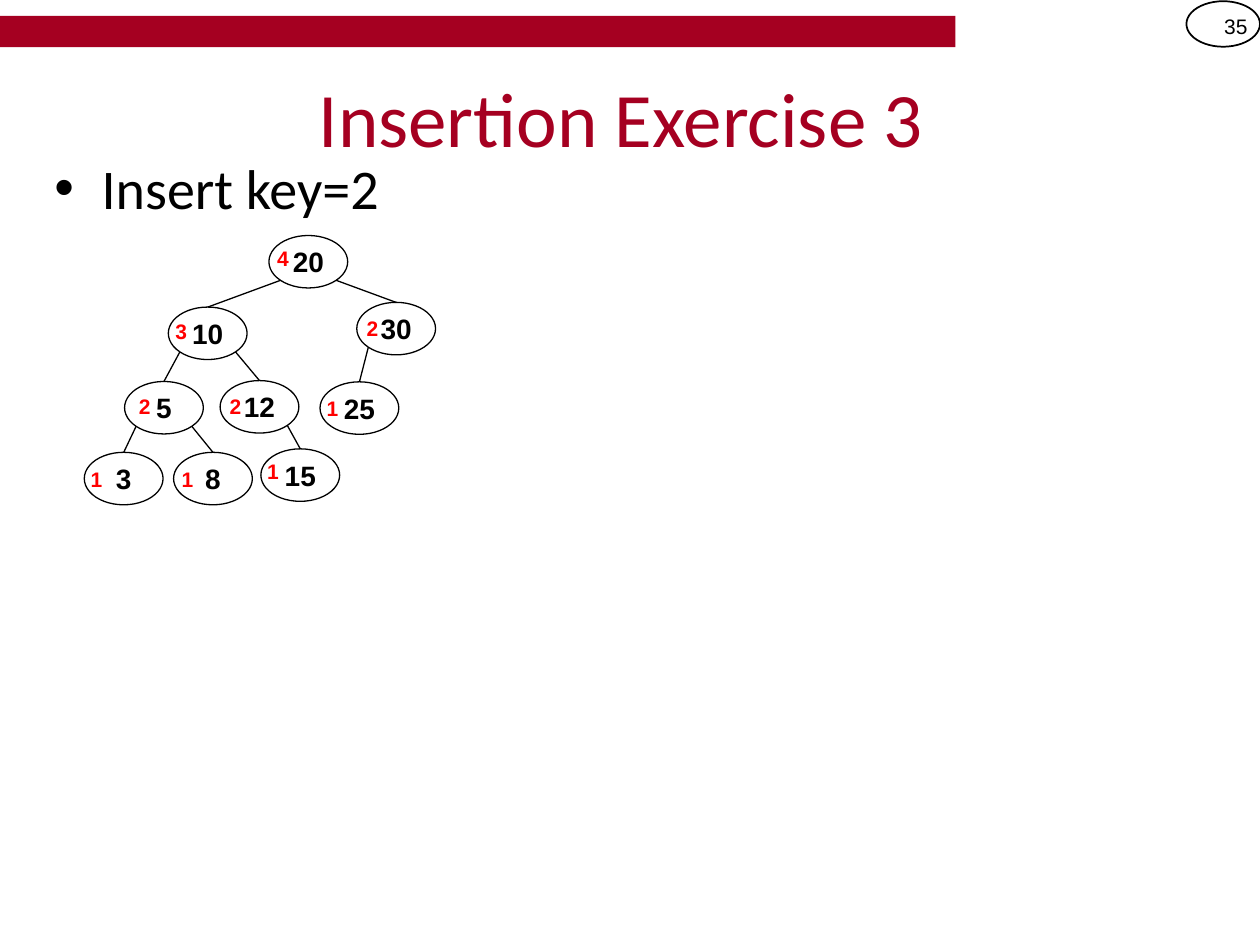
from dataclasses import dataclass
from math import sqrt

from lxml import etree
from pptx import Presentation
from pptx import util as u
from pptx.dml import color
from pptx.enum import shapes, text
from pptx.oxml import ns


@dataclass(frozen=True)
class Theme:
    accent: color.RGBColor = color.RGBColor(0xA5, 0x00, 0x21)
    ink: color.RGBColor = color.RGBColor(0, 0, 0)
    height_label: color.RGBColor = color.RGBColor(0xFF, 0, 0)
    paper: color.RGBColor = color.RGBColor(0xFF, 0xFF, 0xFF)
    heading_font: str = "Calibri"
    tree_font: str = "Arial"
    title_size: int = 44
    body_size: int = 32
    key_size: int = 16
    small_size: int = 12


theme = Theme()


def write(shape, content, *, size, font, ink=theme.ink, bold=False, align=text.PP_ALIGN.LEFT,
          anchor=text.MSO_ANCHOR.TOP, side_inset=7.2, bullet_indent=0):
    frame = shape.text_frame
    frame.word_wrap = True
    frame.vertical_anchor = anchor
    frame.margin_left = frame.margin_right = u.Pt(side_inset)
    paragraph = frame.paragraphs[0]
    paragraph.alignment = align
    if bullet_indent:
        properties = paragraph._p.get_or_add_pPr()
        properties.set("marL", str(u.Pt(bullet_indent)))
        properties.set("indent", str(-u.Pt(bullet_indent)))
        etree.SubElement(properties, ns.qn("a:buFont")).set("typeface", "Arial")
        etree.SubElement(properties, ns.qn("a:buChar")).set("char", "•")
    run = paragraph.add_run()
    run.text = content
    run.font.size = u.Pt(size)
    run.font.name = font
    run.font.bold = bold
    run.font.color.rgb = ink


def add_ellipse(left, top, width, height, line_width):
    shape = slide.shapes.add_shape(
        shapes.MSO_SHAPE.OVAL, u.Pt(left), u.Pt(top), u.Pt(width), u.Pt(height))
    shape.shadow.inherit = False
    shape.fill.solid()
    shape.fill.fore_color.rgb = theme.paper
    shape.line.color.rgb = theme.ink
    shape.line.width = u.Pt(line_width)
    return shape


presentation = Presentation()
presentation.slide_width = u.Pt(720)
presentation.slide_height = u.Pt(540)
slide = presentation.slides.add_slide(presentation.slide_layouts[6])

banner = slide.shapes.add_shape(
    shapes.MSO_SHAPE.RECTANGLE, u.Pt(0), u.Pt(9), u.Pt(546), u.Pt(18))
banner.shadow.inherit = False
banner.fill.solid()
banner.fill.fore_color.rgb = theme.accent
banner.line.fill.background()

add_ellipse(678, 0.7, 42, 26, 1)
page_number = slide.shapes.add_textbox(u.Pt(678), u.Pt(0.7), u.Pt(42), u.Pt(28.8))
write(page_number, "35", size=theme.small_size, font=theme.tree_font,
      align=text.PP_ALIGN.RIGHT, anchor=text.MSO_ANCHOR.MIDDLE)

title = slide.shapes.add_textbox(u.Pt(36), u.Pt(21.6), u.Pt(648), u.Pt(90))
write(title, "Insertion Exercise 3 ", size=theme.title_size, font=theme.heading_font,
      ink=theme.accent, align=text.PP_ALIGN.CENTER, anchor=text.MSO_ANCHOR.MIDDLE)

task = slide.shapes.add_textbox(u.Pt(24), u.Pt(84), u.Pt(672), u.Pt(48))
write(task, "Insert key=2", size=theme.body_size, font=theme.heading_font, bullet_indent=27)

node_width, node_height = 45, 30
tree_nodes = [
    ("20", 153.7, 134.6, "4", 172.1, 136.8),
    ("30", 203.9, 172.8, "2", 223.2, 176.9),
    ("10", 96.2, 175.5, "3", 113.9, 178.4),
    ("12", 125.8, 217.5, "2", 144.9, 221.5),
    ("25", 182.9, 218.2, "1", 200.4, 222.5),
    ("5", 71.2, 218, "2", 93.1, 221.5),
    ("3", 48.2, 258.5, "1", 65.5, 262.8),
    ("8", 99.2, 258.5, "1", 117.5, 262.8),
    ("15", 149.1, 256.5, "1", 166.4, 258.4),
]
nodes = {}
for key, left, top, height, label_right, label_top in tree_nodes:
    nodes[key] = add_ellipse(left, top, node_width, node_height, 0.75)
    write(nodes[key], key, size=theme.key_size, font=theme.tree_font, bold=True,
          align=text.PP_ALIGN.CENTER, anchor=text.MSO_ANCHOR.MIDDLE, side_inset=0)
    label_width = 27
    label = slide.shapes.add_textbox(
        u.Pt(label_right - label_width), u.Pt(label_top), u.Pt(label_width), u.Pt(21.6))
    write(label, height, size=theme.small_size, font=theme.tree_font,
          ink=theme.height_label, bold=True, align=text.PP_ALIGN.RIGHT)

edges = [("20", "10", -1), ("20", "30", 1), ("10", "5", -1), ("10", "12", 1),
         ("30", "25", -1), ("5", "3", -1), ("5", "8", 1), ("12", "15", 1)]
diagonal = 1 / sqrt(2)
for parent_key, child_key, side in edges:
    parent, child = nodes[parent_key], nodes[child_key]
    start_x = parent.left + int(parent.width / 2 * (1 + side * diagonal))
    start_y = parent.top + int(parent.height / 2 * (1 + diagonal))
    edge = slide.shapes.add_connector(
        shapes.MSO_CONNECTOR.STRAIGHT, start_x, start_y, child.left, child.top)
    edge.end_connect(child, 0)
    edge.line.color.rgb = theme.ink
    edge.line.width = u.Pt(0.75)
    etree.SubElement(edge._element.spPr, ns.qn("a:effectLst"))

presentation.save("out.pptx")
